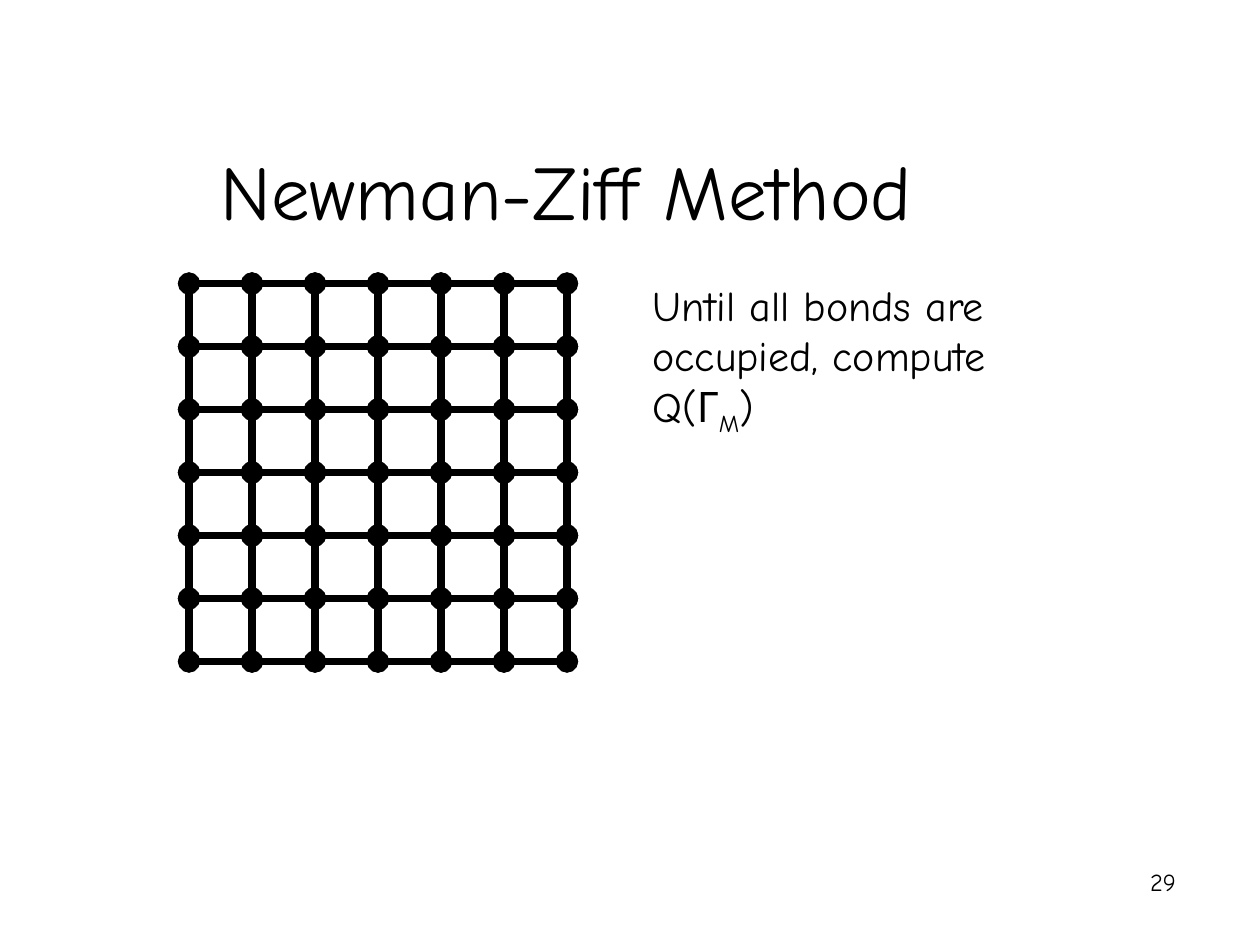
import pptx
import pptx.dml.color
import pptx.enum.shapes
import pptx.enum.text
import pptx.oxml
import pptx.oxml.ns
import pptx.util

Pt = pptx.util.Pt
ALIGN = pptx.enum.text.PP_ALIGN
ANCHOR = pptx.enum.text.MSO_ANCHOR
COLORS = {"ink": "000000", "background": "FFFFFF"}
FONT = "Comic Neue"


def rgb(name):
    return pptx.dml.color.RGBColor.from_string(COLORS[name])


def add_text(slide, box, text, size, align=ALIGN.LEFT, anchor=ANCHOR.TOP):
    """Text is a string or a list of (string, baseline in thousandths of a percent)."""
    shape = slide.shapes.add_textbox(*map(Pt, box))
    frame = shape.text_frame
    frame.word_wrap = True
    frame.vertical_anchor = anchor
    paragraph = frame.paragraphs[0]
    paragraph.alignment = align
    pieces = [(text, 0)] if isinstance(text, str) else text
    for piece, baseline in pieces:
        run = paragraph.add_run()
        run.text = piece
        run.font.name = FONT
        run.font.size = Pt(size)
        run.font.color.rgb = rgb("ink")
        if baseline:
            run.font._element.set("baseline", str(baseline))


def add_bond(slide, start, end):
    """Draw a thick line with a round site at each end."""
    connector = slide.shapes.add_connector(
        pptx.enum.shapes.MSO_CONNECTOR.STRAIGHT, *map(Pt, start + end))
    connector.line.width = Pt(4.25)
    connector.line.color.rgb = rgb("ink")
    line = connector.line._get_or_add_ln()
    for tag in ("headEnd", "tailEnd"):
        line.append(pptx.oxml.parse_xml(
            f'<a:{tag} {pptx.oxml.ns.nsdecls("a")} type="oval"/>'))
    connector._element.spPr.append(pptx.oxml.parse_xml(
        f'<a:effectLst {pptx.oxml.ns.nsdecls("a")}/>'))


def add_lattice(slide, box, cells):
    """Fill a square box with every bond of a grid."""
    left, top, side, _ = box
    step = side / cells
    for line in range(cells + 1):
        for cell in range(cells):
            near, far, across = cell * step, (cell + 1) * step, line * step
            add_bond(slide, (left + near, top + across), (left + far, top + across))
            add_bond(slide, (left + across, top + near), (left + across, top + far))


def main():
    presentation = pptx.Presentation()
    presentation.slide_width, presentation.slide_height = Pt(720), Pt(540)
    slide = presentation.slides.add_slide(presentation.slide_layouts[6])
    slide.background.fill.solid()
    slide.background.fill.fore_color.rgb = rgb("background")

    add_text(slide, (53.3, 12.2, 540.7, 126), "Newman-Ziff Method", size=44,
             align=ALIGN.CENTER, anchor=ANCHOR.BOTTOM)
    add_lattice(slide, (108, 162, 216, 216), cells=6)
    add_text(slide, (365.8, 156.2, 239.8, 97.9),
             [("Until all bonds are occupied, compute Q(Γ", 0), ("M", -25000), (")", 0)],
             size=24)
    add_text(slide, (529.2, 491.8, 149.8, 36), "29", size=14, align=ALIGN.RIGHT)
    presentation.save("out.pptx")


if __name__ == "__main__":
    main()
